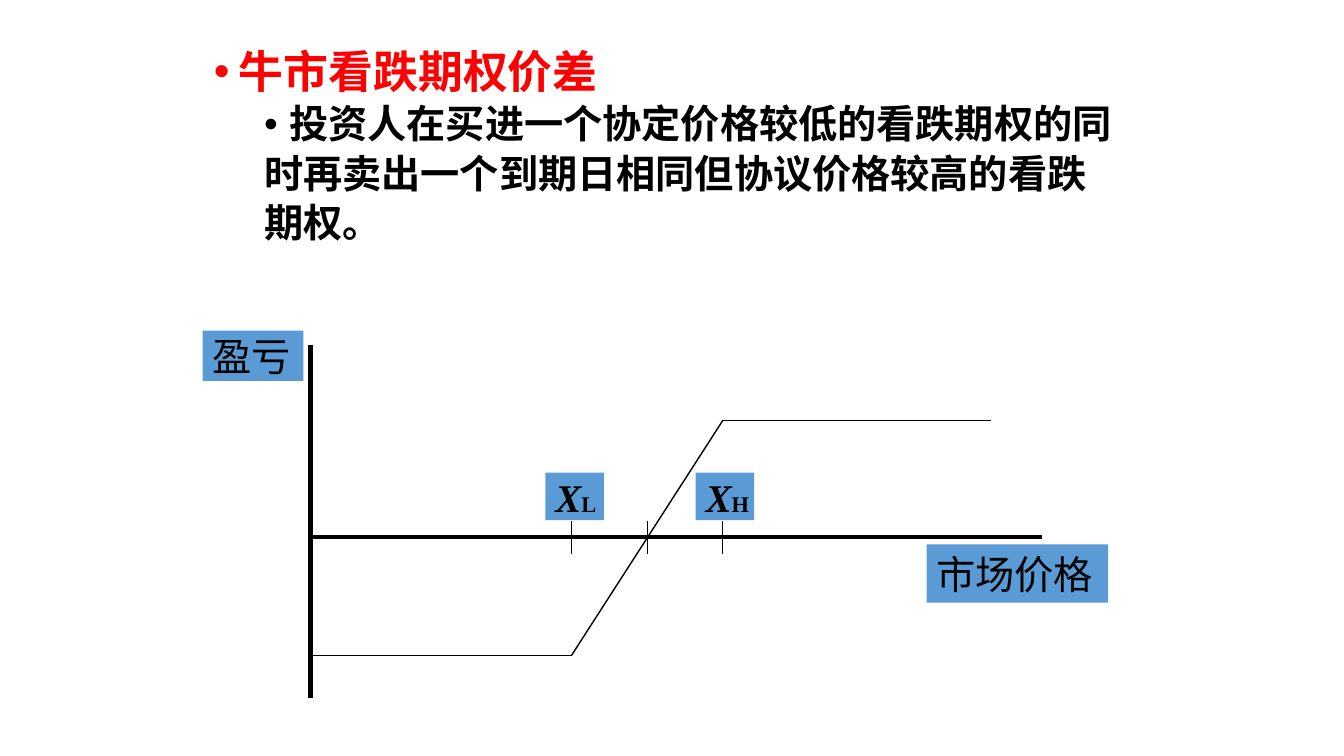
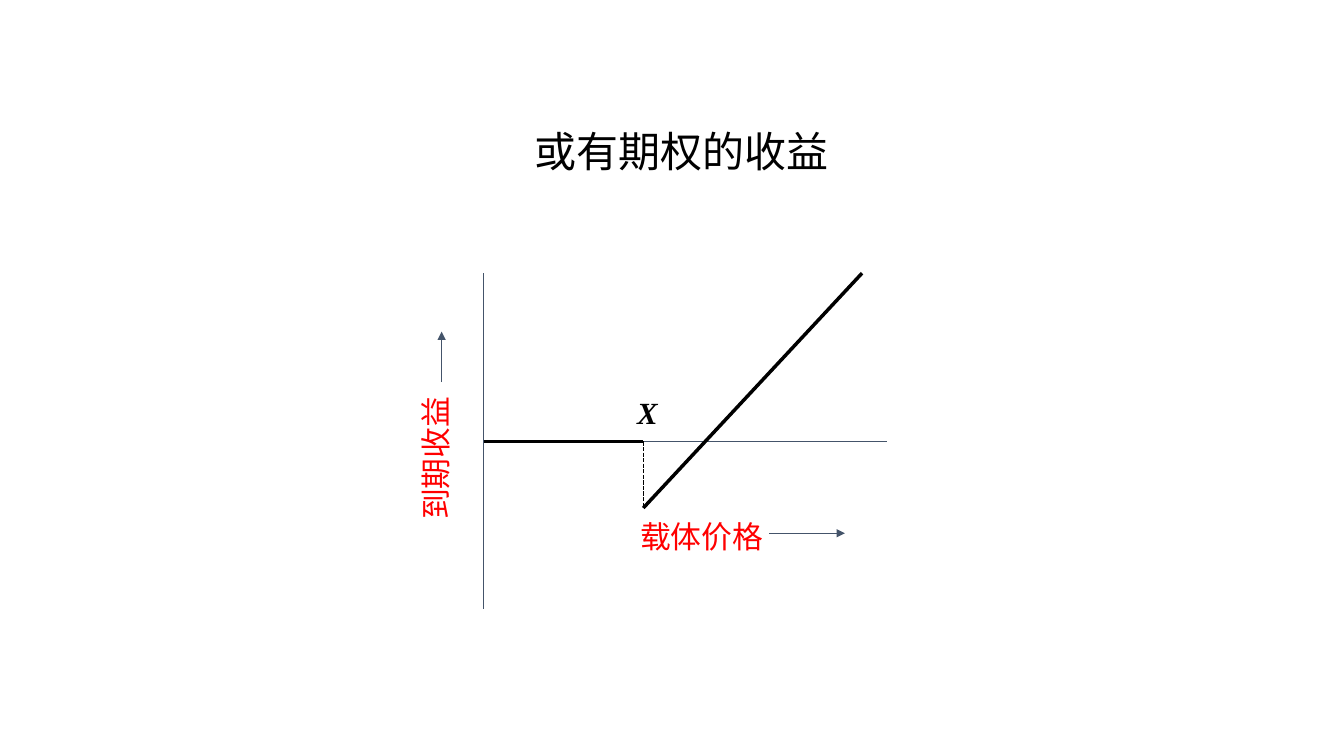
from dataclasses import dataclass
from typing import Any, Optional

import lxml.etree
import pptx
import pptx.dml.color
import pptx.enum.dml
import pptx.enum.shapes
import pptx.enum.text
import pptx.oxml.ns
import pptx.util

EMU_PER_PX = 9144
BLACK, RED, BLUE, SLATE = "000000", "FF0000", "5B9BD5", "44546A"
HAN, ROMAN = "Noto Sans CJK SC", "Times New Roman"
TITLE_ONLY, TITLE_AND_CONTENT = 5, 1
ALIGN = pptx.enum.text.PP_ALIGN
ANCHOR = pptx.enum.text.MSO_ANCHOR
FIT = pptx.enum.text.MSO_AUTO_SIZE


@dataclass(frozen=True)
class Span:
    text: str
    size: int
    color: str = BLACK
    font: str = HAN
    bold: bool = False
    italic: bool = False


@dataclass(frozen=True)
class Item:
    """One list paragraph."""
    span: Span
    level: int
    indent: int
    before: int
    bullet: bool


@dataclass(frozen=True)
class Label:
    spans: tuple[Span, ...]
    left: int
    top: int
    width: int
    height: int
    fill: Optional[str] = None
    rotation: int = 0


@dataclass(frozen=True)
class Line:
    x1: int
    y1: int
    x2: int
    y2: int
    width: float = 0.75
    color: str = BLACK
    dashed: bool = False
    arrow: bool = False


def px(length: int) -> pptx.util.Emu:
    return pptx.util.Emu(length * EMU_PER_PX)


def rgb(value: str) -> pptx.dml.color.RGBColor:
    return pptx.dml.color.RGBColor.from_string(value)


def apply(target: Any, values: dict[str, Any]) -> None:
    for name, value in values.items():
        setattr(target, name, value)


def add_xml(parent: Any, tag: str, **attributes: str) -> None:
    lxml.etree.SubElement(parent, pptx.oxml.ns.qn(tag), attributes)


def place(shape: Any, left: int, top: int, width: int, height: int) -> None:
    apply(shape, {"left": px(left), "top": px(top),
                  "width": px(width), "height": px(height)})


def add_span(para: Any, span: Span) -> None:
    run = para.add_run()
    run.text = span.text
    apply(run.font, {"name": span.font, "size": pptx.util.Pt(span.size),
                     "bold": span.bold, "italic": span.italic})
    run.font.color.rgb = rgb(span.color)
    add_xml(run.font._element, "a:ea", typeface=span.font)


def add_label(page: Any, label: Label) -> None:
    frame = tuple(map(px, (label.left, label.top, label.width, label.height)))
    if label.fill:
        box = page.shapes.add_shape(
            pptx.enum.shapes.MSO_SHAPE.RECTANGLE, *frame)
        box.shadow.inherit = False
        box.fill.solid()
        box.fill.fore_color.rgb = rgb(label.fill)
        box.line.fill.background()
    else:
        box = page.shapes.add_textbox(*frame)
    box.rotation = label.rotation
    apply(box.text_frame, {
        "word_wrap": False, "vertical_anchor": ANCHOR.MIDDLE,
        "auto_size": FIT.NONE if label.fill else FIT.SHAPE_TO_FIT_TEXT})
    para = box.text_frame.paragraphs[0]
    para.alignment = ALIGN.LEFT
    for span in label.spans:
        add_span(para, span)


def add_line(page: Any, line: Line) -> None:
    connector = page.shapes.add_connector(
        pptx.enum.shapes.MSO_CONNECTOR.STRAIGHT,
        px(line.x1), px(line.y1), px(line.x2), px(line.y2))
    connector.line.width = pptx.util.Pt(line.width)
    connector.line.color.rgb = rgb(line.color)
    if line.dashed:
        connector.line.dash_style = pptx.enum.dml.MSO_LINE.SQUARE_DOT
    if line.arrow:
        add_xml(connector.line._get_or_add_ln(), "a:tailEnd", type="triangle")
    add_xml(connector._element.spPr, "a:effectLst")


def draw(page: Any, lines: list[Line], labels: list[Label]) -> None:
    for line in lines:
        add_line(page, line)
    for label in labels:
        add_label(page, label)


def fill_list(body: Any, items: list[Item]) -> None:
    frame = body.text_frame
    apply(frame, {"word_wrap": True, "auto_size": FIT.NONE,
                  "vertical_anchor": ANCHOR.TOP})
    for index, item in enumerate(items):
        para = frame.add_paragraph() if index else frame.paragraphs[0]
        apply(para, {"level": item.level, "line_spacing": 0.9,
                     "space_before": pptx.util.Pt(item.before),
                     "alignment": ALIGN.LEFT})
        properties = para._p.get_or_add_pPr()
        properties.set("marL", str(px(item.indent)))
        properties.set("indent", str(px(-25)))
        if item.bullet:
            add_xml(properties, "a:buChar", char="•")
        else:
            add_xml(properties, "a:buNone")
        add_span(para, item.span)


def bull_spread_slide(deck: Any) -> None:
    page = deck.slides.add_slide(deck.slide_layouts[TITLE_AND_CONTENT])
    title = page.shapes.title._element
    title.getparent().remove(title)
    body = page.placeholders[1]
    place(body, 202, 44, 913, 533)
    details = ("投资人在买进一个协定价格较低的看跌期权的同",
               "时再卖出一个到期日相同但协议价格较高的看跌", "期权。")
    fill_list(body, [
        Item(Span("牛市看跌期权价差", 32, RED, bold=True), 0, 25, 10, True),
        *(Item(Span(text, 28, bold=True), 1, 75, 5, index == 0)
          for index, text in enumerate(details))])

    axis_x, axis_y, low, high = 308, 533, 567, 717
    loss, profit = 650, 417
    ticks = [Line(x, 517, x, 550) for x in (low, (low + high) // 2, high)]
    strikes = [
        Label((Span("X", 28, font=ROMAN, bold=True, italic=True),
               Span(mark, 16, font=ROMAN, bold=True)), left, 469, 58, 47, BLUE)
        for mark, left in (("L", 541), ("H", 690))]
    draw(page, [
        Line(axis_x, 342, axis_x, 692, 3),
        Line(axis_x, axis_y, 1033, axis_y, 3),
        Line(axis_x, loss, low, loss, 1),
        Line(high, profit, 983, profit, 1),
        Line(low, loss, high, profit, 1),
        *ticks,
    ], [
        Label((Span("盈亏", 28),), 201, 328, 100, 50, BLUE),
        Label((Span("市场价格", 28),), 919, 540, 180, 58, BLUE),
        *strikes,
    ])


def contingent_option_slide(deck: Any) -> None:
    page = deck.slides.add_slide(deck.slide_layouts[TITLE_ONLY])
    title = page.shapes.title
    place(title, 392, 125, 567, 92)
    apply(title.text_frame, {"word_wrap": True, "auto_size": FIT.NONE,
                             "vertical_anchor": ANCHOR.TOP})
    para = title.text_frame.paragraphs[0]
    apply(para, {"alignment": ALIGN.CENTER, "line_spacing": 0.9})
    add_span(para, Span("或有期权的收益", 30))

    axis_x, axis_y, strike, top, loss = 480, 438, 638, 271, 504
    draw(page, [
        Line(axis_x, top, axis_x, 604, color=SLATE),
        Line(axis_x, axis_y, 880, axis_y, color=SLATE),
        Line(strike, axis_y, strike, loss, 1, dashed=True),
        Line(strike, loss, 855, top, 2.5),
        Line(axis_x, axis_y, strike, axis_y, 2.5),
        Line(438, 379, 438, 329, color=SLATE, arrow=True),
        Line(763, 529, 838, 529, color=SLATE, arrow=True),
    ], [
        Label((Span("到期收益", 22, RED),), 361, 431, 142, 47, rotation=270),
        Label((Span("X", 22, font=ROMAN, bold=True, italic=True),),
              622, 385, 41, 47),
        Label((Span("载体价格", 22, RED),), 625, 508, 142, 47),
    ])


def main() -> None:
    deck = pptx.Presentation()
    apply(deck, {"slide_width": px(1333), "slide_height": px(750)})
    bull_spread_slide(deck)
    contingent_option_slide(deck)
    deck.save("out.pptx")


if __name__ == "__main__":
    main()
